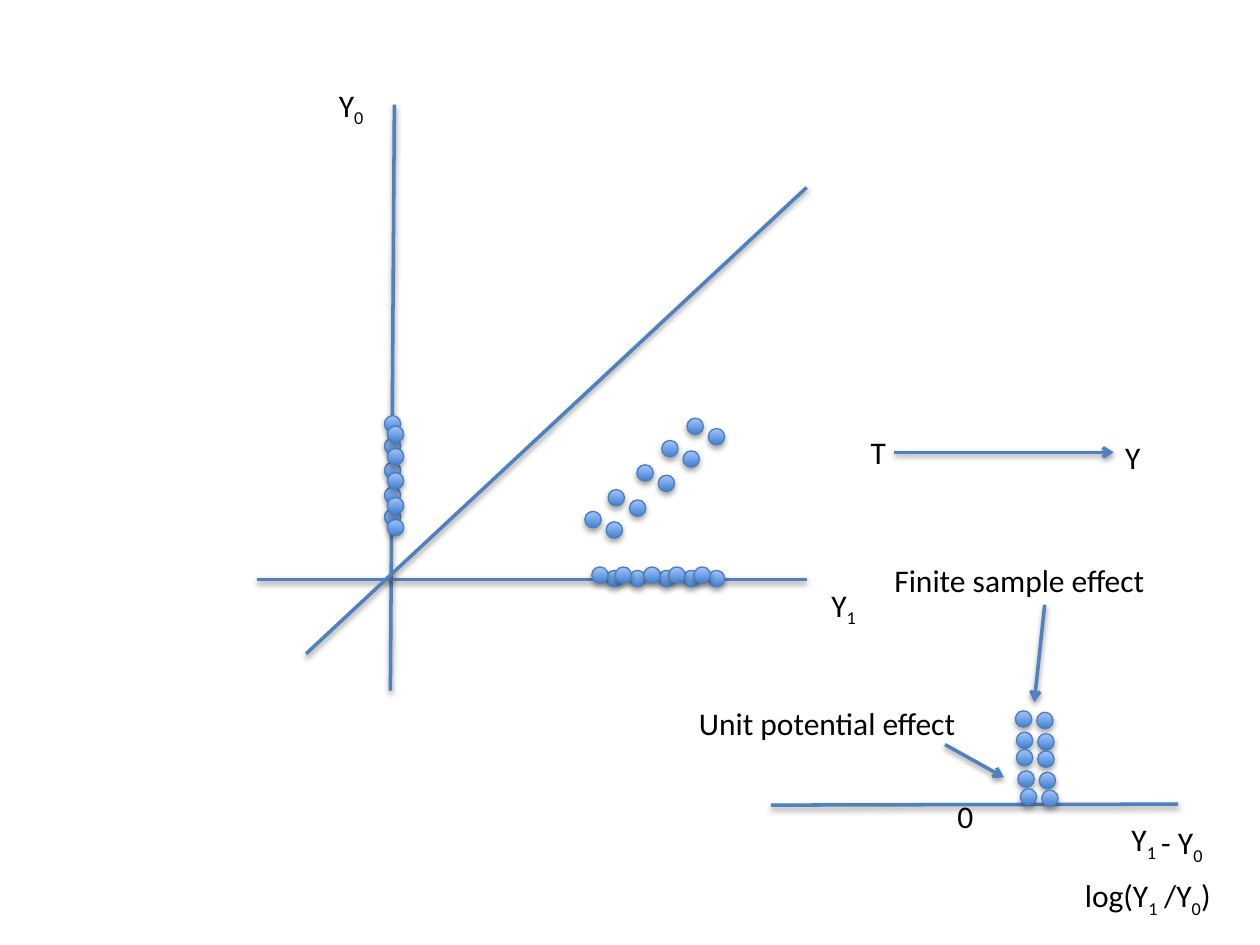
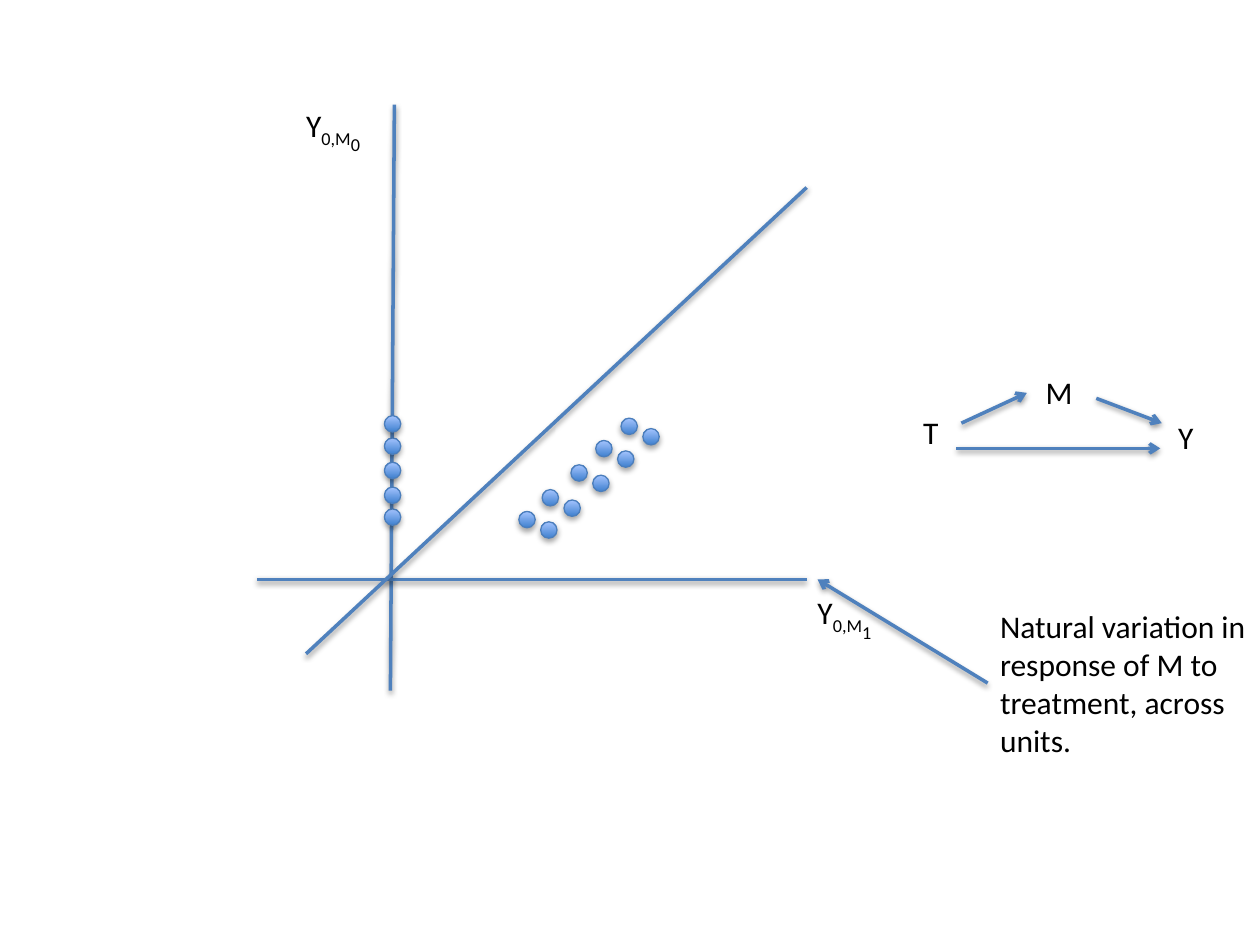
import dataclasses

import pptx
import pptx.dml.color
import pptx.enum.shapes
import pptx.enum.text
import pptx.oxml
import pptx.oxml.ns
import pptx.util

Cm, Pt = pptx.util.Cm, pptx.util.Pt


@dataclasses.dataclass(frozen=True)
class Theme:
    font: str = "Calibri"
    size: int = 18
    text: str = "000000"
    line: str = "4F81BD"
    line_width: float = 2
    dot_dark: str = "3F80CE"
    dot_light: str = "A4C4FF"
    dot_edge: str = "4B7EBC"
    dot_edge_width: float = 0.75
    dot_size: float = 0.33
    text_height: float = 1.02


T = Theme()

# Content; all places in cm. Lines: x1, y1, x2, y2
AXES = [
    (7.95, 2.11, 7.87, 13.92),
    (5.18, 11.68, 16.26, 11.68),
    (6.17, 13.18, 16.26, 3.78),
]

# Five units: steps along Y1 and Y0 from the lowest one
STEPS_X = [0, 0.47, 1.05, 1.55, 2.06]
STEPS_Y = [0, -0.44, -0.94, -1.43, -1.88]
FLAT = [0] * 5

# Effect histogram: one column, repeated to the right
EFFECT_X = [0, 0.02, 0.02, 0.05, 0.1]
EFFECT_Y = [0, 0.43, 0.78, 1.21, 1.57]

# Each group of dots: x steps, y steps, start points of its rows
# Each label: x, y, width, wrap, runs of (text, baseline in percent)
SLIDES = [
    {
        "dots": [
            (STEPS_X, STEPS_Y, [(11.79, 10.31), (12.22, 10.52)]),
            (FLAT, STEPS_Y, [(7.75, 10.26), (7.81, 10.47)]),
            (STEPS_X, FLAT, [(12.22, 11.5), (11.93, 11.43)]),
            (EFFECT_X, EFFECT_Y, [(20.47, 14.33), (20.9, 14.36)]),
        ],
        "lines": [(15.54, 16.23, 23.75, 16.21)],
        "arrows": [
            (18.03, 9.12, 22.45, 9.12),
            (19.05, 15.01, 20.24, 15.67),
            (21.06, 12.19, 20.85, 14.15),
        ],
        "labels": [
            (6.58, 1.6, 1.04, False, [("Y", 0), ("0", -25)]),
            (16.51, 11.68, 1.04, False, [("Y", 0), ("1", -25)]),
            (19.05, 15.95, 0.84, False, [("0", 0)]),
            (22.56, 16.41, 1.04, False, [("Y", 0), ("1", -25)]),
            (23.16, 16.46, 1.37, False, [("- Y", 0), ("0", -25)]),
            (21.62, 17.53, 2.03, False, [("log(Y", 0), ("1", -25)]),
            (23.22, 17.53, 1.47, False, [("/Y", 0), ("0", -25), (")", 0)]),
            (22.43, 8.71, 0.86, True, [("Y", 0)]),
            (17.3, 8.61, 1.12, True, [("T", 0)]),
            (13.84, 14.07, 5.92, False, [("Unit potential effect", 0)]),
            (17.78, 11.18, 5.64, False, [("Finite sample effect", 0)]),
        ],
    },
    {
        "dots": [
            (STEPS_X, STEPS_Y, [(10.46, 10.31), (10.9, 10.52)]),
            (FLAT, STEPS_Y, [(7.75, 10.26)]),
        ],
        "lines": [],
        "arrows": [
            (19.91, 13.77, 16.48, 11.68),
            (19.28, 9.04, 23.39, 9.04),
            (22.1, 8.03, 23.42, 8.53),
            (19.38, 8.53, 20.7, 7.92),
        ],
        "labels": [
            (5.92, 2.01, 1.73, False, [("Y", 0), ("0,M", -25), ("0", -45)]),
            (16.23, 11.84, 1.73, False, [("Y", 0), ("0,M", -25), ("1", -45)]),
            (19.91, 12.12, 5.49, True, [
                ("Natural variation in response of M to treatment, across units.", 0)]),
            (23.5, 8.31, 0.86, True, [("Y", 0)]),
            (18.36, 8.2, 1.12, True, [("T", 0)]),
            (20.83, 7.39, 1.12, True, [("M", 0)]),
        ],
    },
]


# Drawing helpers
def rgb(value):
    return pptx.dml.color.RGBColor.from_string(value)


def add_shadow(shape, dist, alpha):
    ns = pptx.oxml.ns.nsdecls("a")
    shape._element.spPr.append(pptx.oxml.parse_xml(
        f'<a:effectLst {ns}><a:outerShdw blurRad="40000" dist="{dist}" '
        'dir="5400000" rotWithShape="0"><a:srgbClr val="000000">'
        f'<a:alpha val="{alpha * 1000}"/></a:srgbClr></a:outerShdw></a:effectLst>'))


def add_line(s, ends, arrow=False):
    c = s.shapes.add_connector(
        pptx.enum.shapes.MSO_CONNECTOR.STRAIGHT, *[Cm(v) for v in ends])
    c.line.color.rgb = rgb(T.line)
    c.line.width = Pt(T.line_width)
    if arrow:
        ln = c._element.spPr.find(pptx.oxml.ns.qn("a:ln"))
        ln.append(pptx.oxml.parse_xml(
            f'<a:tailEnd {pptx.oxml.ns.nsdecls("a")} type="arrow"/>'))
    add_shadow(c, 20000, 38)


def add_dot(s, x, y):
    dot = s.shapes.add_shape(
        pptx.enum.shapes.MSO_SHAPE.OVAL, Cm(x), Cm(y), Cm(T.dot_size), Cm(T.dot_size))
    dot.fill.gradient()
    dot.fill.gradient_angle = 90
    for stop, color in zip(dot.fill.gradient_stops, (T.dot_dark, T.dot_light)):
        stop.color.rgb = rgb(color)
    dot.line.color.rgb = rgb(T.dot_edge)
    dot.line.width = Pt(T.dot_edge_width)
    add_shadow(dot, 23000, 35)


def add_label(s, x, y, width, wrap, runs):
    tf = s.shapes.add_textbox(Cm(x), Cm(y), Cm(width), Cm(T.text_height)).text_frame
    tf.word_wrap = wrap
    tf.auto_size = pptx.enum.text.MSO_AUTO_SIZE.SHAPE_TO_FIT_TEXT
    p = tf.paragraphs[0]
    for text, baseline in runs:
        r = p.add_run()
        r.text = text
        r.font.name = T.font
        r.font.size = Pt(T.size)
        r.font.color.rgb = rgb(T.text)
        if baseline:
            r._r.get_or_add_rPr().set("baseline", str(baseline * 1000))


# Slides
def main():
    prs = pptx.Presentation()
    prs.slide_width, prs.slide_height = Cm(25.4), Cm(19.05)
    for content in SLIDES:
        s = prs.slides.add_slide(prs.slide_layouts[6])
        for ends in AXES + content["lines"]:
            add_line(s, ends)
        for steps_x, steps_y, starts in content["dots"]:
            for x, y in starts:
                for dx, dy in zip(steps_x, steps_y):
                    add_dot(s, x + dx, y + dy)
        for ends in content["arrows"]:
            add_line(s, ends, arrow=True)
        for label in content["labels"]:
            add_label(s, *label)
    prs.save("out.pptx")


if __name__ == "__main__":
    main()
